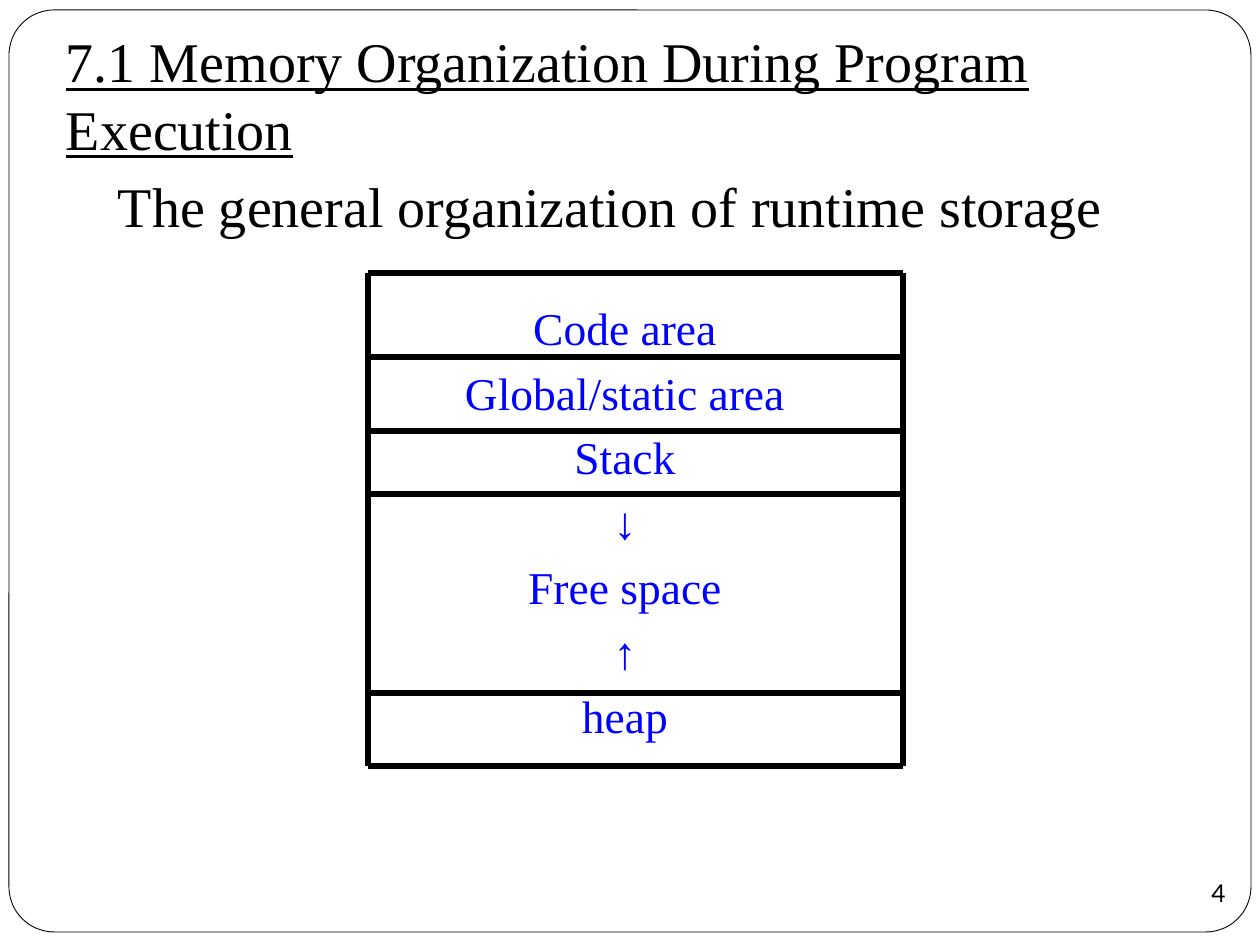
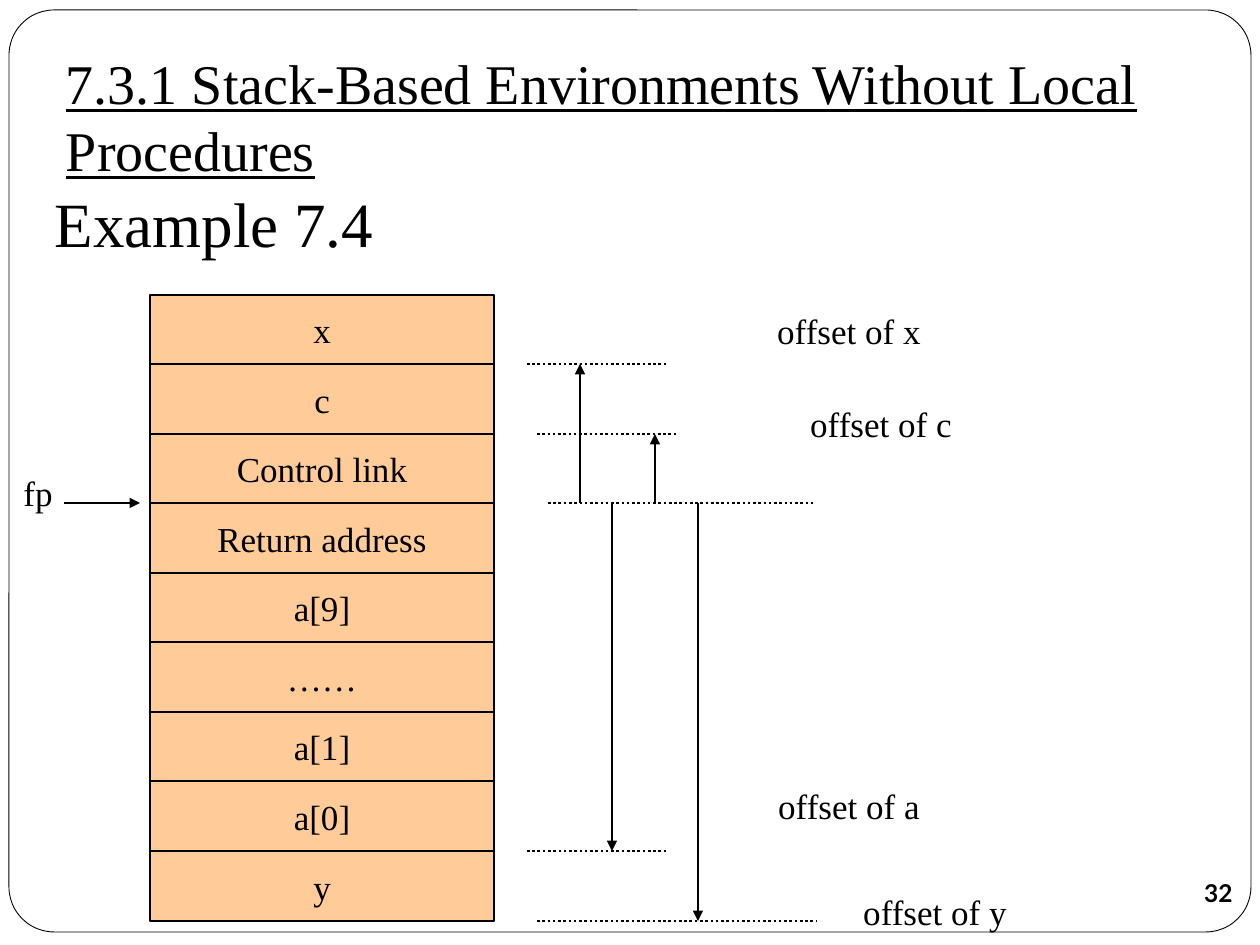
from lxml import etree
from pptx import Presentation
from pptx.dml.color import RGBColor
from pptx.enum.dml import MSO_LINE
from pptx.enum.shapes import MSO_CONNECTOR, MSO_SHAPE
from pptx.enum.text import MSO_ANCHOR, PP_ALIGN
from pptx.oxml.ns import qn
from pptx.util import Emu, Pt

STRAIGHT = MSO_CONNECTOR.STRAIGHT
DOTTED = MSO_LINE.ROUND_DOT
RECT, ROUNDED, OVAL = MSO_SHAPE.RECTANGLE, MSO_SHAPE.ROUNDED_RECTANGLE, MSO_SHAPE.OVAL
TOP, MIDDLE, BOTTOM = MSO_ANCHOR.TOP, MSO_ANCHOR.MIDDLE, MSO_ANCHOR.BOTTOM
LEFT, CENTER = PP_ALIGN.LEFT, PP_ALIGN.CENTER

PX_PER_INCH = 126
COLORS = {"ink": "000000", "paper": "FFFFFF", "area": "0000FF", "cell": "FFCC99"}
SERIF, SANS = "Times New Roman", "Lato"


def px(length):
    return Emu(round(length * 914400 / PX_PER_INCH))


def color(name):
    return RGBColor.from_string(COLORS[name])


class Deck:
    """Shared slide style together with the slide being drawn."""

    def __init__(self):
        self.prs = Presentation()
        self.prs.slide_width, self.prs.slide_height = px(1260), px(945)
        self.slide = None

    def new_slide(self, heading, heading_top, number, bold_number=False):
        self.slide = self.prs.slides.add_slide(self.prs.slide_layouts[6])
        frame = self.shape(ROUNDED, 9, 10, 1242, 922, "paper", 0.5)
        frame.adjustments[0] = 0.049
        self.text([heading], 53, heading_top, 1166, 147, 32, underline=True)
        badge = self.shape(OVAL, 1187, 861, 63, 63)
        self.set_text(badge.text_frame, [str(number)], 14, align=CENTER, anchor=MIDDLE,
                      wrap=False, font=SANS, bold=bold_number, insets=(0, 0, 0, 0))

    def shape(self, preset, x, y, w, h, fill=None, line_width=None):
        shape = self.slide.shapes.add_shape(preset, px(x), px(y), px(w), px(h))
        shape.shadow.inherit = False
        if fill:
            shape.fill.solid()
            shape.fill.fore_color.rgb = color(fill)
        else:
            shape.fill.background()
        if line_width:
            shape.line.color.rgb = color("ink")
            shape.line.width = Pt(line_width)
        else:
            shape.line.fill.background()
        return shape

    def set_text(self, frame, lines, size, ink="ink", align=LEFT, anchor=TOP, wrap=True,
                 font=SERIF, bold=False, underline=False, space_before=0,
                 insets=(13, 6, 13, 6)):
        frame.word_wrap = wrap
        frame.vertical_anchor = anchor
        (frame.margin_left, frame.margin_top,
         frame.margin_right, frame.margin_bottom) = map(px, insets)
        for i, line in enumerate(lines):
            paragraph = frame.add_paragraph() if i else frame.paragraphs[0]
            paragraph.text = line
            paragraph.alignment = align
            paragraph.space_before = Pt(space_before)
            style = paragraph.font
            style.name, style.size = font, Pt(size)
            style.bold, style.underline = bold, underline
            style.color.rgb = color(ink)

    def text(self, lines, x, y, w, h, size, **style):
        box = self.slide.shapes.add_textbox(px(x), px(y), px(w), px(h))
        self.set_text(box.text_frame, lines, size, **style)

    def subtitle(self, words, x, y, w, h, size):
        self.text([words], x, y, w, h, size, anchor=BOTTOM, insets=(13, 6, 13, 13))

    def label(self, words, x, y, w, h):
        self.text([words], x, y, w, h, 20, align=CENTER, anchor=MIDDLE, wrap=False)

    def cell(self, words, x, y, w, h):
        cell = self.shape(RECT, x, y, w, h, "cell", 0.75)
        self.set_text(cell.text_frame, [words], 20, align=CENTER, anchor=MIDDLE, wrap=False)

    def line(self, x1, y1, x2, y2, width, dotted=False, arrow=False):
        line = self.slide.shapes.add_connector(STRAIGHT, px(x1), px(y1), px(x2), px(y2))
        line.line.color.rgb = color("ink")
        line.line.width = Pt(width)
        if dotted:
            line.line.dash_style = DOTTED
        properties = line._element.spPr
        if arrow:
            etree.SubElement(properties.find(qn("a:ln")), qn("a:tailEnd"), type="triangle")
        etree.SubElement(properties, qn("a:effectLst"))

    def arrow(self, x1, y1, x2, y2):
        self.line(x1, y1, x2, y2, 0.75, arrow=True)


def memory_organization(deck):
    deck.new_slide("7.1 Memory Organization During Program Execution", 21, 4)
    deck.subtitle("The general organization of runtime storage", 105, 179, 1207, 73, 32)
    areas = ["Code area", "Global/static area", "Stack", "↓", "Free space", "↑", "heap"]
    deck.text(areas, 63, 294, 1124, 646, 26, ink="area", align=CENTER, space_before=5.8)
    left, right = 368, 903
    borders = [273, 357, 431, 494, 693, 766]
    for y in borders:
        deck.line(left, y, right, y, 3)
    for x in (left, right):
        deck.line(x, borders[0], x, borders[-1], 3)


def stack_frame(deck):
    deck.new_slide("7.3.1 Stack-Based Environments Without Local Procedures", 42, 32, True)
    deck.subtitle("Example 7.4", 42, 210, 1071, 63, 36)
    entries = ["x", "c", "Control link", "Return address", "a[9]", "……", "a[1]", "a[0]", "y"]
    edges = [295 + 626 * i // len(entries) for i in range(len(entries) + 1)]
    for entry, top, bottom in zip(entries, edges, edges[1:]):
        deck.cell(entry, 150, top, 344, bottom - top)

    fp = edges[3]
    deck.arrow(64, fp, 140, fp)
    deck.label("fp", 0, 446, 76, 93)
    deck.line(548, fp, 816, fp, 1.5, dotted=True)

    offsets = [
        ("x", edges[1], 527, 667, 580, 752, 295),
        ("c", edges[2], 537, 677, 655, 784, 388),
        ("a", edges[8], 527, 667, 612, 752, 771),
        ("y", edges[9], 537, 816, 698, 838, 876),
    ]
    for name, level, start, end, arrow_x, label_x, label_y in offsets:
        deck.line(start, level, end, level, 1.5, dotted=True)
        deck.arrow(arrow_x, fp, arrow_x, level)
        deck.label(f"offset of {name}", label_x, label_y, 194, 70)


def main():
    deck = Deck()
    memory_organization(deck)
    stack_frame(deck)
    deck.prs.save("out.pptx")


if __name__ == "__main__":
    main()
